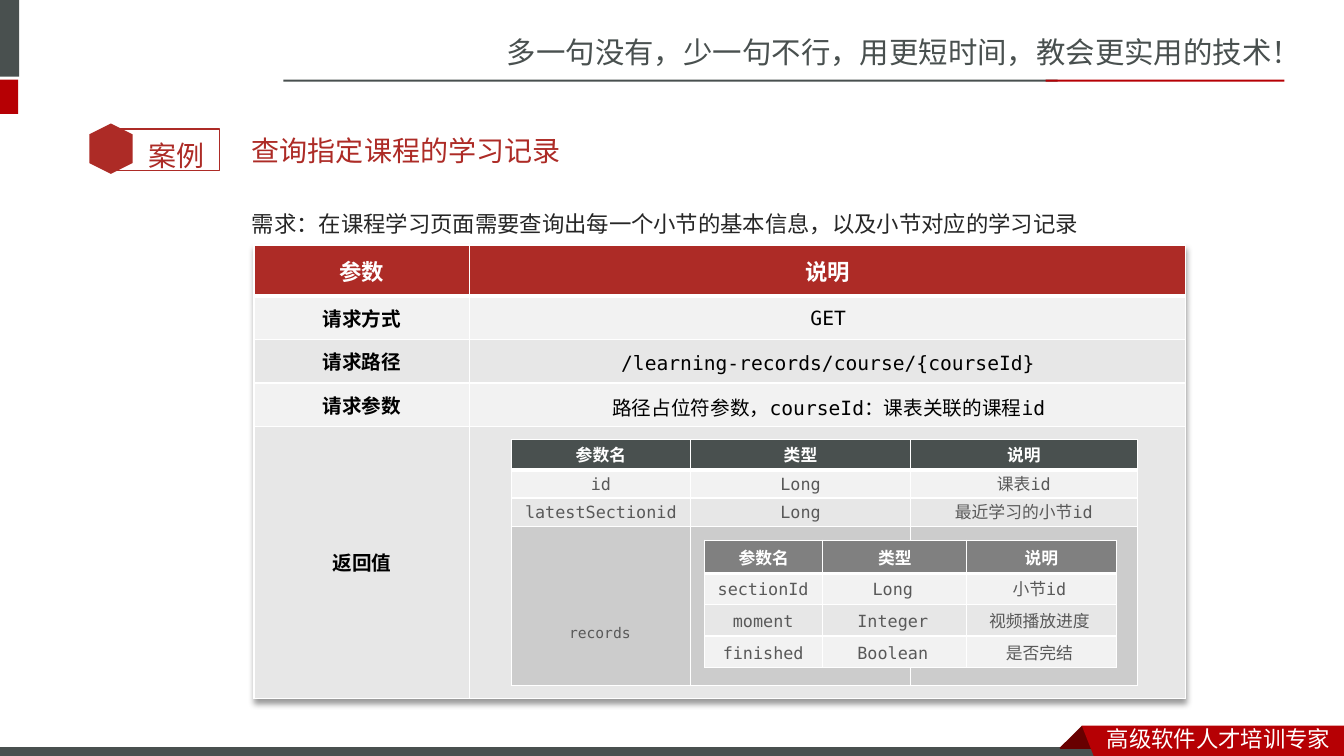
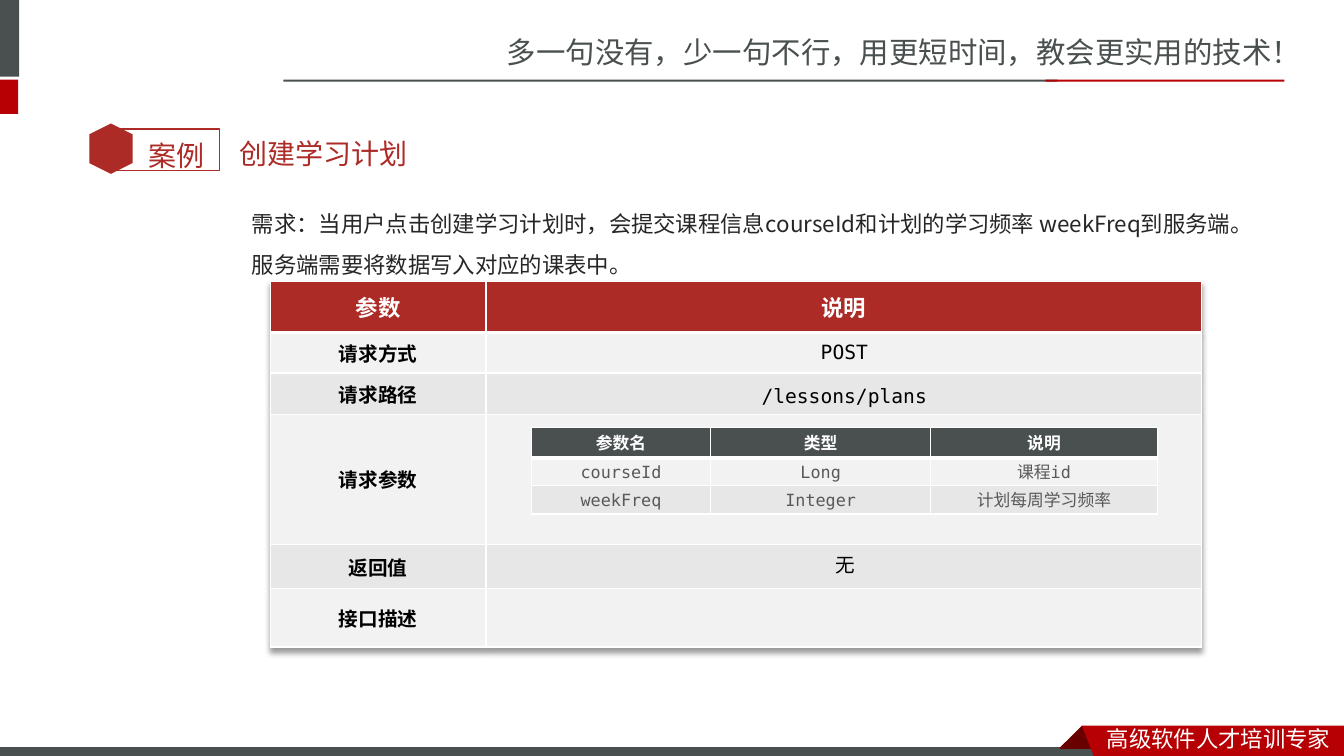
import dataclasses
import typing

import lxml.etree
import pptx
import pptx.dml.color
import pptx.enum.shapes
import pptx.enum.text
import pptx.oxml.ns
import pptx.util

Inches = pptx.util.Inches
Pt = pptx.util.Pt
qn = pptx.oxml.ns.qn
Shapes = pptx.enum.shapes.MSO_SHAPE
Align = pptx.enum.text.PP_ALIGN
Anchor = pptx.enum.text.MSO_ANCHOR

COLORS = {
    "white": "FFFFFF",
    "black": "000000",
    "slate": "49504F",
    "red": "B60004",
    "fold": "680000",
    "brick": "AD2B26",
    "ink": "262626",
    "muted": "595959",
    "gray": "808080",
    "light": "F2F2F2",
    "mid": "E7E7E7",
    "dark": "CCCCCC",
}
SANS = "Noto Sans CJK SC"
MONO = "DejaVu Sans Mono"
FIELD_HEADS = ("参数名", "类型", "说明")
FIELD_WIDTHS = (1.78, 2.18, 2.25)
STRIPES = ("light", "mid")


@dataclasses.dataclass
class Bar:
    left: float
    top: float
    width: float
    height: float
    fill: str
    line: typing.Optional[str] = None


@dataclasses.dataclass
class Grid:
    left: float
    top: float
    widths: tuple
    heights: tuple
    heads: tuple = FIELD_HEADS
    labels: tuple = ()
    head_fill: str = "slate"
    head_size: float = 12
    shadow: bool = False
    last_fill: typing.Optional[str] = None


@dataclasses.dataclass
class Fields:
    left: float
    top: float
    widths: tuple
    step: float
    rows: tuple


BARS = (
    Bar(-0.06, 0, 0.25, 0.76, "slate"),
    Bar(-0.06, 0.79, 0.24, 0.34, "red"),
    Bar(2.81, 0.79, 7.68, 0.02, "slate"),
    Bar(10.37, 0.79, 2.37, 0.02, "red"),
    Bar(-0.01, 7.41, 11, 0.12, "slate", "white"),
)
RIBBONS = (
    ("fold", ((10.73, 7.2), (10.95, 7.42), (10.94, 7.43), (10.52, 7.43), (10.51, 7.42))),
    ("red", ((10.73, 7.2), (13.33, 7.2), (13.33, 7.54), (10.86, 7.53))),
)


def rgb(name: str) -> pptx.dml.color.RGBColor:
    return pptx.dml.color.RGBColor.from_string(COLORS[name])


def write(frame, text: str, *, size: float, color: str, font: str = SANS, bold: bool = False,
          align=Align.LEFT, spacing: typing.Optional[float] = None) -> None:
    para = frame.paragraphs[0]
    para.alignment = align
    if spacing:
        para.line_spacing = Pt(spacing)
    span = para.add_run()
    span.text = text
    span.font.size = Pt(size)
    span.font.bold = bold
    span.font.name = font
    span.font.color.rgb = rgb(color)
    east = lxml.etree.SubElement(span.font._element, qn("a:ea"))
    east.set("typeface", SANS)


def add_text(page, text: str, left: float, top: float, width: float, height: float, *,
             anchor=Anchor.MIDDLE, **style) -> None:
    box = page.shapes.add_textbox(Inches(left), Inches(top), Inches(width), Inches(height))
    box.text_frame.word_wrap = True
    box.text_frame.vertical_anchor = anchor
    write(box.text_frame, text, **style)


def add_value(page, text: str, left: float, top: float, width: float) -> None:
    add_text(page, text, left, top, width, 0.34, size=14, color="black", font=MONO,
             align=Align.CENTER)


def paint(shape, fill: typing.Optional[str], line: typing.Optional[str] = None,
          weight: float = 0.75) -> None:
    shape.shadow.inherit = False
    if fill:
        shape.fill.solid()
        shape.fill.fore_color.rgb = rgb(fill)
    else:
        shape.fill.background()
    if line:
        shape.line.color.rgb = rgb(line)
        shape.line.width = Pt(weight)
    else:
        shape.line.fill.background()


def add_preset(page, kind, left: float, top: float, width: float, height: float):
    return page.shapes.add_shape(kind, Inches(left), Inches(top), Inches(width), Inches(height))


def add_ribbon(page, fill: str, points: tuple) -> None:
    corners = [(Inches(x), Inches(y)) for x, y in points]
    builder = page.shapes.build_freeform(*corners[0], scale=1.0)
    builder.add_line_segments(corners[1:], close=True)
    paint(builder.convert_to_shape(), fill)


def add_borders(cell, bottom: float) -> None:
    props = cell._tc.get_or_add_tcPr()
    for side, weight in (("L", 1), ("R", 1), ("T", 1), ("B", bottom)):
        line = lxml.etree.SubElement(props, qn(f"a:ln{side}"), w=str(Pt(weight)))
        fill = lxml.etree.SubElement(line, qn("a:solidFill"))
        lxml.etree.SubElement(fill, qn("a:srgbClr"), val=COLORS["white"])


def add_table_shadow(table) -> None:
    effects = lxml.etree.Element(qn("a:effectLst"))
    table._tbl.tblPr.insert(0, effects)
    shadow = lxml.etree.SubElement(effects, qn("a:outerShdw"), blurRad=str(Pt(4)),
                                   dist=str(Pt(3)), dir="5400000", algn="t", rotWithShape="0")
    color = lxml.etree.SubElement(shadow, qn("a:srgbClr"), val=COLORS["black"])
    lxml.etree.SubElement(color, qn("a:alpha"), val="40000")


def add_grid(page, grid: Grid) -> None:
    count = len(grid.heights)
    frame = page.shapes.add_table(count, len(grid.widths), Inches(grid.left), Inches(grid.top),
                                  Inches(sum(grid.widths)), Inches(sum(grid.heights)))
    table = frame.table
    for column, width in zip(table.columns, grid.widths):
        column.width = Inches(width)
    for r, height in enumerate(grid.heights):
        table.rows[r].height = Inches(height)
        head = r == 0
        fill = grid.head_fill if head else STRIPES[(r - 1) % 2]
        if grid.last_fill and r == count - 1:
            fill = grid.last_fill
        for c in range(len(grid.widths)):
            cell = table.cell(r, c)
            cell.margin_top = cell.margin_bottom = 0
            cell.vertical_anchor = Anchor.MIDDLE
            add_borders(cell, 3 if head else 1)
            cell.fill.solid()
            cell.fill.fore_color.rgb = rgb(fill)
            if head:
                write(cell.text_frame, grid.heads[c], font=MONO, align=Align.CENTER,
                      size=grid.head_size, color="white", bold=True)
            elif c == 0 and grid.labels:
                write(cell.text_frame, grid.labels[r - 1], font=MONO, align=Align.CENTER,
                      size=14, color="black", bold=True)
            else:
                para = cell.text_frame.paragraphs[0]
                lxml.etree.SubElement(para._p, qn("a:endParaRPr"), sz="800")
    if grid.shadow:
        add_table_shadow(table)


def add_fields(page, fields: Fields) -> None:
    for r, texts in enumerate(fields.rows):
        for c, text in enumerate(texts):
            add_text(page, text, fields.left + sum(fields.widths[:c]),
                     fields.top + r * fields.step, fields.widths[c], 0.3, size=12,
                     color="muted", font=MONO, align=Align.CENTER)


def api_grid(left: float, top: float, heights: tuple, labels: tuple) -> Grid:
    return Grid(left, top, (2.14, 7.1), heights, ("参数", "说明"), labels, "brick", 16,
                shadow=True)


def add_page(deck, title: str, title_left: float, title_top: float, need: str):
    page = deck.slides.add_slide(deck.slide_layouts[6])
    add_text(page, "多一句没有，少一句不行，用更短时间，教会更实用的技术！", 4.93, 0.28, 8.4, 0.47,
             size=21, color="slate")
    for bar in BARS:
        paint(add_preset(page, Shapes.RECTANGLE, bar.left, bar.top, bar.width, bar.height),
              bar.fill, bar.line)
    for fill, points in RIBBONS:
        add_ribbon(page, fill, points)
    add_text(page, "高级软件人才培训专家", 10.88, 7.15, 2.45, 0.35, size=16, color="white")
    paint(add_preset(page, Shapes.RECTANGLE, 1.09, 1.28, 1.09, 0.41), None, "brick", 1)
    hexagon = add_preset(page, Shapes.HEXAGON, 0.85, 1.26, 0.5, 0.43)
    hexagon.rotation = 90
    paint(hexagon, "brick")
    add_text(page, "案例", 1.37, 1.26, 0.85, 0.56, size=20, color="brick", font="Roboto")
    add_text(page, title, title_left, title_top, 8, 0.57, size=20, color="brick", font="Arial")
    add_text(page, need, 2.4, 1.89, 10.08, 0.71, anchor=Anchor.TOP, size=16, color="ink",
             font="Noto Sans CJK JP", spacing=29.3)
    return page


def build_query_page(deck) -> None:
    page = add_page(deck, "查询指定课程的学习记录", 2.4, 1.21,
                    "需求：在课程学习页面需要查询出每一个小节的基本信息，以及小节对应的学习记录")
    add_grid(page, api_grid(2.52, 2.43, (0.51, 0.43, 0.43, 0.43, 2.7),
                            ("请求方式", "请求路径", "请求参数", "返回值")))
    add_value(page, "GET", 7.25, 2.98, 1.93)
    add_value(page, "/learning-records/course/{courseId}", 4.67, 3.43, 7.09)
    add_value(page, "路径占位符参数，courseId：课表关联的课程id", 4.91, 3.87, 6.62)
    add_grid(page, Grid(5.07, 4.36, FIELD_WIDTHS, (0.3, 0.28, 0.28, 1.58), last_fill="dark"))
    add_fields(page, Fields(5.07, 4.65, FIELD_WIDTHS, 0.28, (
        ("id", "Long", "课表id"),
        ("latestSectionid", "Long", "最近学习的小节id"),
    )))
    add_grid(page, Grid(6.99, 5.36, (1.17, 1.43, 1.48), (0.33, 0.31, 0.31, 0.31),
                        head_fill="gray"))
    add_fields(page, Fields(6.99, 5.69, (1.16, 1.41, 1.5), 0.32, (
        ("sectionId", "Long", "小节id"),
        ("moment", "Integer", "视频播放进度"),
        ("finished", "Boolean", "是否完结"),
    )))
    add_text(page, "records", 5.06, 6.14, 1.78, 0.28, size=10.5, color="muted", font=MONO,
             align=Align.CENTER)


def build_plan_page(deck) -> None:
    page = add_page(deck, "创建学习计划", 2.28, 1.24,
                    "需求：当用户点击创建学习计划时，会提交课程信息courseId和计划的学习频率 weekFreq"
                    "到服务端。服务端需要将数据写入对应的课表中。")
    add_grid(page, api_grid(2.68, 2.79, (0.51, 0.4, 0.41, 1.29, 0.44, 0.58),
                            ("请求方式", "请求路径", "请求参数", "返回值", "接口描述")))
    add_value(page, "POST", 7.41, 3.32, 1.93)
    add_value(page, "/lessons/plans", 6.66, 3.76, 3.43)
    add_value(page, "无", 5.27, 5.43, 6.22)
    add_grid(page, Grid(5.27, 4.24, FIELD_WIDTHS, (0.3, 0.28, 0.28)))
    add_fields(page, Fields(5.27, 4.53, FIELD_WIDTHS, 0.28, (
        ("courseId", "Long", "课程id"),
        ("weekFreq", "Integer", "计划每周学习频率"),
    )))


def main() -> None:
    deck = pptx.Presentation()
    deck.slide_width = Inches(13.33)
    deck.slide_height = Inches(7.5)
    build_query_page(deck)
    build_plan_page(deck)
    deck.save("out.pptx")


if __name__ == "__main__":
    main()
